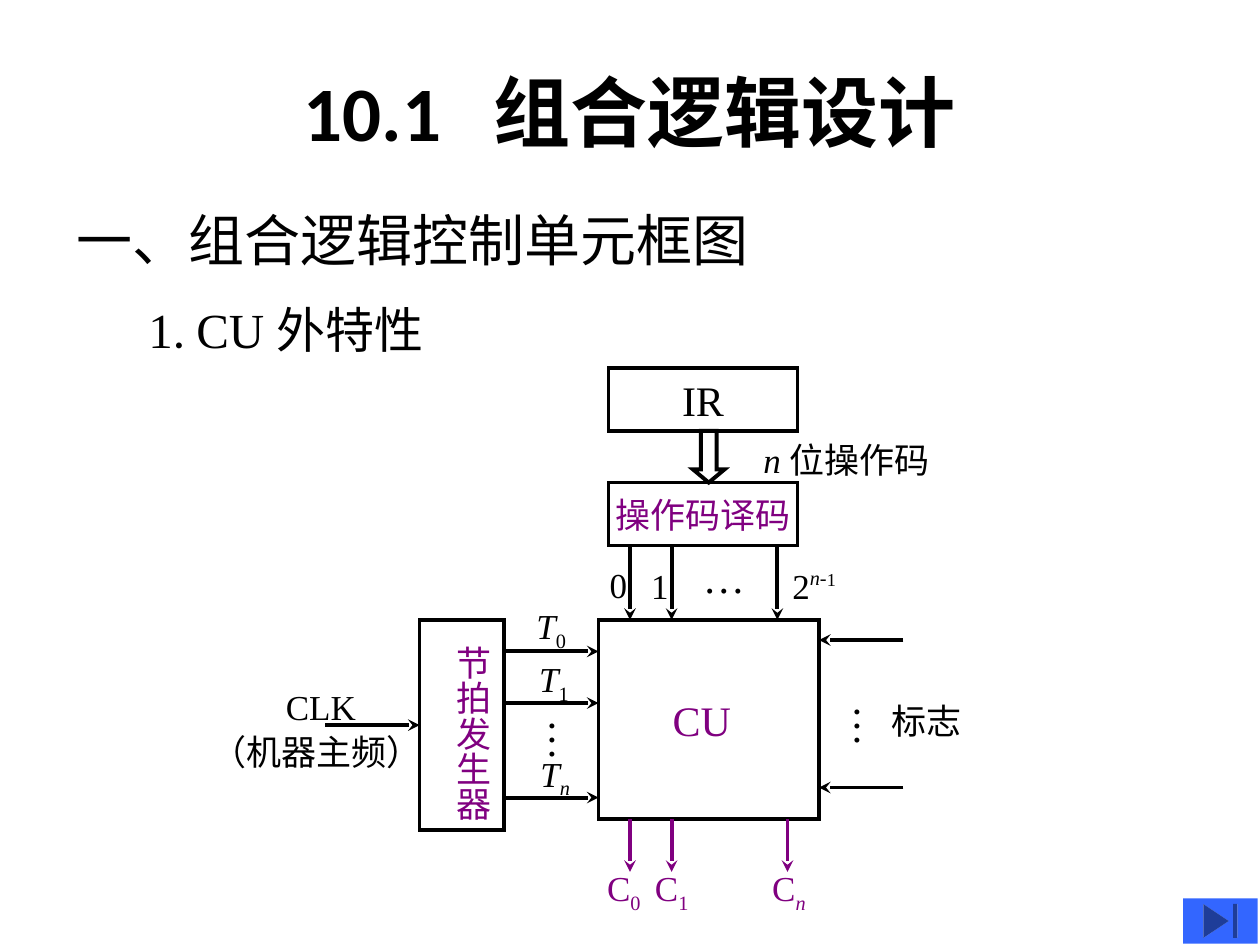
from pptx import Presentation
from pptx import util as u
from pptx.dml import color as col
from pptx.enum import shapes as sh, text as tx
from pptx.oxml import ns, xmlchemy as xml

INK = {"black": "000000", "purple": "800080", "blue": "3366FF"}
SERIF, SANS = "Times New Roman", "Calibri"
LINE = u.Pt(2.25)
SUB, SUP = -25000, 40000


def rgb(name):
    return col.RGBColor.from_string(INK[name])


def inch(*nums):
    return [u.Inches(n) for n in nums]


def add_run(para, words, size=20, font=SERIF, ink="black", bold=False, ital=False, base=0):
    run = para.add_run()
    run.text = words
    run.font.size = u.Pt(size)
    run.font.name = font
    run.font.bold = bold
    run.font.italic = ital
    run.font.color.rgb = rgb(ink)
    if base:
        run.font._element.set("baseline", str(base))


def add_text(slide, box, *runs, vert=False):
    """Add a text box; each run is (words, options)."""
    part = slide.shapes.add_textbox(*inch(*box))
    frame = part.text_frame
    frame.word_wrap = not vert
    frame.auto_size = tx.MSO_AUTO_SIZE.SHAPE_TO_FIT_TEXT
    if vert:
        part.element.txBody.bodyPr.set("vert", "eaVert")
        frame.margin_left = frame.margin_right = u.Inches(0.05)
        frame.margin_top = frame.margin_bottom = u.Inches(0.05)
    else:
        frame.margin_right = 0
    for words, opts in runs:
        add_run(frame.paragraphs[0], words, **opts)


def add_sym(slide, box, base, low, ink="black", ital=False):
    """Add a letter with a subscript."""
    add_text(slide, box, (base, dict(ink=ink, ital=ital)),
             (low, dict(ink=ink, ital=low == "n", base=SUB)))


def add_box(slide, box, kind=sh.MSO_SHAPE.RECTANGLE, words="", **opts):
    part = slide.shapes.add_shape(kind, *inch(*box))
    part.shadow.inherit = False
    part.fill.background()
    part.line.color.rgb = rgb("black")
    part.line.width = LINE
    join = xml.OxmlElement("a:miter")
    join.set("lim", "800000")
    part.line._get_or_add_ln().append(join)
    if words:
        frame = part.text_frame
        frame.word_wrap = False
        frame.vertical_anchor = tx.MSO_ANCHOR.MIDDLE
        para = frame.paragraphs[0]
        para.alignment = tx.PP_ALIGN.CENTER
        add_run(para, words, **opts)
    return part


def add_arrow(slide, start, end, ink="black"):
    line = slide.shapes.add_connector(sh.MSO_CONNECTOR.STRAIGHT, *inch(*start, *end))
    line.line.color.rgb = rgb(ink)
    line.line.width = LINE
    tip = xml.OxmlElement("a:tailEnd")
    tip.set("type", "stealth")
    line.line._get_or_add_ln().append(tip)
    line.element.find(ns.qn("p:spPr")).append(xml.OxmlElement("a:effectLst"))
    return line


def put_heads(slide, box):
    left, top, wide, high = box
    title = slide.shapes.title
    title.left, title.top, title.width, title.height = inch(0.75, 0.25, 8.5, 1.25)
    title.text_frame.vertical_anchor = tx.MSO_ANCHOR.MIDDLE
    para = title.text_frame.paragraphs[0]
    para.alignment = tx.PP_ALIGN.CENTER
    for words, size in (("10.1", 44), ("　", 30), ("组合逻辑设计", 44)):
        add_run(para, words, size, SANS, bold=True)
    add_text(slide, (left, top, wide, 0.64),
             ("一、组合逻辑控制单元框图", dict(size=32, font=SANS)))
    add_text(slide, (left + 0.57, top + 0.75, 3.75, 0.57),
             ("1", dict(size=28)), (". ", dict(size=28, font=SANS)),
             ("CU ", dict(size=28)), ("外特性", dict(size=28, font=SANS)))


def put_code(slide, box):
    """Place the instruction register above its decoder."""
    left, top, wide, high = box
    add_box(slide, (left, top, wide, 0.5), words="IR", size=24)
    add_box(slide, (left, top + high - 0.5, wide, 0.5), words="操作码译码", ink="purple")
    down = add_box(slide, (left + 0.67, top + 0.5, 0.25, high - 1), sh.MSO_SHAPE.DOWN_ARROW)
    down.adjustments[0], down.adjustments[1] = 0.5, 0.417
    add_text(slide, (left + 1.13, top + 0.51, 1.59, 0.44),
             ("n ", dict(ital=True)), ("位操作码", {}))


def put_lines(slide, box):
    """Place the decoder outputs that enter the CU."""
    left, top, wide, high = box
    for x in (0, 0.33, wide):
        add_arrow(slide, (left + x, top), (left + x, top + high))
    add_text(slide, (left - 0.26, top + 0.09, 0.34, 0.44), ("0", {}))
    add_text(slide, (left + 0.07, top + 0.1, 0.34, 0.44), ("1", {}))
    add_text(slide, (left + 0.48, top, 0.53, 0.5), ("…", dict(size=24)))
    add_text(slide, (left + 1.19, top + 0.1, 0.54, 0.44), ("2", {}),
             ("n", dict(ital=True, base=SUP)), ("-", dict(base=SUP)),
             ("1", dict(size=18, base=SUP)))


def put_clock(slide, box):
    """Place the beat generator and its clock input."""
    left, top, wide, high = box
    gen = add_box(slide, box)
    add_text(slide, (left + 0.11, top + 0.11, 0.53, 1.49),
             ("节拍发生器", dict(ink="purple")), vert=True)
    mid = top + high / 2
    add_arrow(slide, (left - 0.75, mid), (left, mid)).end_connect(gen, 1)
    add_text(slide, (left - 1.16, mid - 0.36, 0.75, 0.44), ("CLK", {}))
    add_text(slide, (left - 1.75, mid - 0.01, 1.87, 0.44), ("（机器主频）", {}))


def put_beats(slide, box):
    left, top, wide, high = box
    for low, x, y, drop in (("0", 0.16, 0, 0.42), ("1", 0.18, 0.41, 0.41),
                            ("n", 0.19, 1.16, 0.41)):
        add_arrow(slide, (left, top + y), (left + wide, top + y))
        add_sym(slide, (left + x, top + y - drop, 0.43, 0.48), "T", low, ital=True)
    add_text(slide, (left + 0.15, top + 0.44, 0.6, 0.44), ("…", dict(size=24)), vert=True)


def put_unit(slide, box):
    left, top, wide, high = box
    add_box(slide, box)
    add_text(slide, (left + 0.49, top + 0.54, 0.66, 0.5),
             ("CU", dict(size=24, ink="purple")))


def put_flags(slide, box):
    left, top, wide, high = box
    for y in (top, top + high):
        add_arrow(slide, (left + wide, y), (left, y))
    add_text(slide, (left + 0.07, top + 0.42, 0.6, 0.44), ("…", dict(size=24)), vert=True)
    add_text(slide, (left + 0.48, top + 0.42, 0.75, 0.44), ("标志", {}))


def put_outs(slide, box):
    """Place the control signals that leave the CU."""
    left, top, wide, high = box
    for low, x, shift in (("0", 0, 0.28), ("1", 0.33, 0.23), ("n", wide, 0.22)):
        add_arrow(slide, (left + x, top), (left + x, top + high), "purple")
        add_sym(slide, (left + x - shift, top + 0.33, 0.46, 0.48), "C", low, "purple")


def put_button(slide, box):
    part = slide.shapes.add_shape(sh.MSO_SHAPE.ACTION_BUTTON_END, *inch(*box))
    part.shadow.inherit = False
    part.fill.solid()
    part.fill.fore_color.rgb = rgb("blue")
    part.line.fill.background()


def main():
    deck = Presentation()
    deck.slide_width, deck.slide_height = inch(10, 7.5)
    slide = deck.slides.add_slide(deck.slide_layouts[5])
    put_heads(slide, (0.51, 1.58, 5.54, 1.32))
    put_code(slide, (4.83, 2.92, 1.5, 1.41))
    put_clock(slide, (3.33, 4.92, 0.67, 1.67))
    put_unit(slide, (4.75, 4.92, 1.75, 1.58))
    put_beats(slide, (4, 5.17, 0.75, 1.16))
    put_flags(slide, (6.5, 5.08, 0.67, 1.17))
    put_lines(slide, (5, 4.33, 1.17, 0.59))
    put_outs(slide, (5, 6.5, 1.25, 0.42))
    put_button(slide, (9.39, 7.13, 0.59, 0.36))
    deck.save("out.pptx")


if __name__ == "__main__":
    main()
